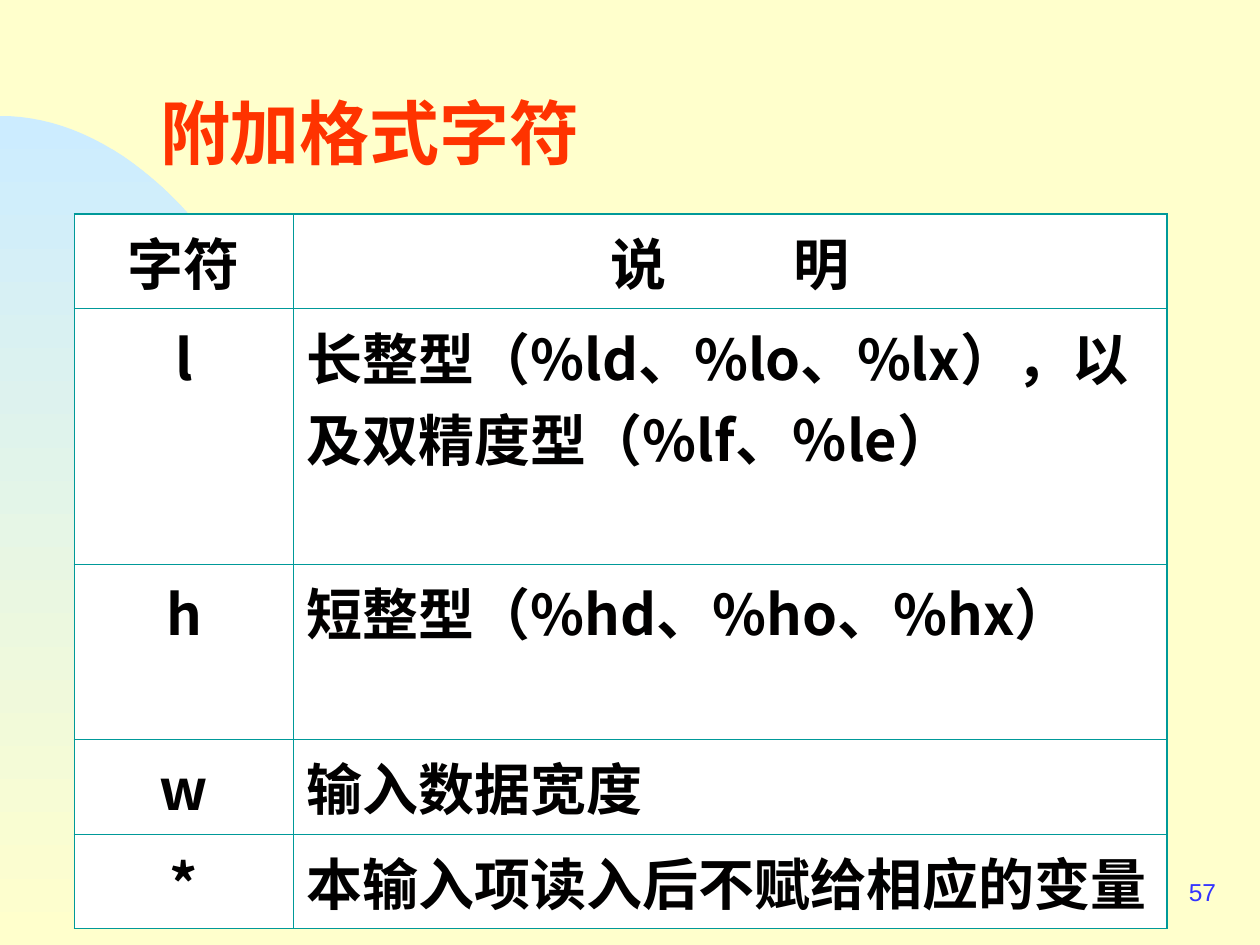
from dataclasses import dataclass
from math import cos, pi, sin

from lxml.etree import SubElement
from pptx import Presentation
from pptx.dml.color import RGBColor
from pptx.enum.text import MSO_ANCHOR, MSO_AUTO_SIZE, PP_ALIGN
from pptx.oxml.ns import qn
from pptx.util import Inches, Pt

CJK_FONT = "Noto Sans CJK SC"
BORDER = "009999"
OUTER_WIDTH, INNER_WIDTH = 1.08, 0.45


@dataclass
class TextStyle:
    size: int
    color: str
    font: str = CJK_FONT
    bold: bool = True
    align: PP_ALIGN = PP_ALIGN.LEFT


@dataclass
class FormatRow:
    character: str
    meaning: str
    height: float = 0.75


ROWS = [
    FormatRow("字符", "说 明"),
    FormatRow("l", "长整型（%ld、%lo、%lx），以及双精度型（%lf、％le）", 2.03),
    FormatRow("h", "短整型（%hd、%ho、%hx）", 1.39),
    FormatRow("w", "输入数据宽度"),
    FormatRow("*", "本输入项读入后不赋给相应的变量"),
]
COLUMN_WIDTHS = [1.74, 6.93]
CENTERED = TextStyle(32, "010000", align=PP_ALIGN.CENTER)
LEFT = TextStyle(32, "010000")


def color(value: str) -> RGBColor:
    return RGBColor.from_string(value)


def style_paragraph(para, style: TextStyle) -> None:
    para.alignment = style.align
    font = para.font
    font.size, font.bold, font.name = Pt(style.size), style.bold, style.font
    font.color.rgb = color(style.color)
    properties = para._p.pPr
    properties.set("hangingPunct", "0")
    east_asian = SubElement(properties.find(qn("a:defRPr")), qn("a:ea"))
    east_asian.set("typeface", style.font)


def write(frame, text: str, style: TextStyle) -> None:
    para = frame.paragraphs[0]
    para.text = text
    style_paragraph(para, style)


def write_spread(frame, text: str, spacing: float, style: TextStyle) -> None:
    para = frame.paragraphs[0]
    first, last = text.split(" ")
    lead = para.add_run()
    lead.text = first + " "
    lead.font._element.set("spc", str(round(spacing * 100)))
    para.add_run().text = last
    style_paragraph(para, style)


def set_border(cell, side: str, width: float) -> None:
    line = SubElement(cell._tc.get_or_add_tcPr(), qn(f"a:ln{side}"), w=str(Pt(width)))
    fill = SubElement(line, qn("a:solidFill"))
    SubElement(fill, qn("a:srgbClr"), val=BORDER)


def draw_arc(slide, top: float, width: float, height: float, steps: int = 60) -> None:
    angles = [pi / 2 * step / steps for step in range(steps + 1)]
    points = [
        (Inches(width * sin(angle)), Inches(top + height * (1 - cos(angle))))
        for angle in angles
    ]
    builder = slide.shapes.build_freeform(*points[0])
    builder.add_line_segments(points[1:] + [(0, Inches(top + height))], close=True)
    arc = builder.convert_to_shape()
    arc.shadow.inherit = False
    arc.line.fill.background()
    arc.fill.gradient()
    arc.fill.gradient_angle = 270
    for stop, value in zip(arc.fill.gradient_stops, ("CCECFF", "FFFFCC")):
        stop.color.rgb = color(value)


def draw_title(slide, text: str) -> None:
    title = slide.shapes.title
    title.left, title.top = Inches(1.17), Inches(0.42)
    title.width, title.height = Inches(8.33), Inches(1.25)
    title.text_frame.auto_size = MSO_AUTO_SIZE.NONE
    title.text_frame.vertical_anchor = MSO_ANCHOR.MIDDLE
    write(title.text_frame, text, TextStyle(40, "FF3300"))


def draw_page_number(slide, text: str) -> None:
    box = slide.shapes.add_textbox(Inches(7.67), Inches(6.83), Inches(2.08), Inches(0.5))
    box.text_frame.word_wrap = True
    box.text_frame.vertical_anchor = MSO_ANCHOR.MIDDLE
    write(box.text_frame, text, TextStyle(14, "3333FF", "Arial", False, PP_ALIGN.RIGHT))


def draw_table(slide, rows: list[FormatRow]) -> None:
    last_row, last_column = len(rows) - 1, len(COLUMN_WIDTHS) - 1
    table = slide.shapes.add_table(
        len(rows), len(COLUMN_WIDTHS), Inches(0.59), Inches(1.7),
        Inches(sum(COLUMN_WIDTHS)), Inches(sum(row.height for row in rows)),
    ).table
    table.first_row = table.horz_banding = False
    for column, width in zip(table.columns, COLUMN_WIDTHS):
        column.width = Inches(width)
    for row_index, row in enumerate(rows):
        table.rows[row_index].height = Inches(row.height)
        for column_index, text in enumerate((row.character, row.meaning)):
            cell = table.cell(row_index, column_index)
            outer_sides = {
                "L": column_index == 0,
                "R": column_index == last_column,
                "T": row_index == 0,
                "B": row_index == last_row,
            }
            for side, is_outer in outer_sides.items():
                set_border(cell, side, OUTER_WIDTH if is_outer else INNER_WIDTH)
            cell.fill.solid()
            cell.fill.fore_color.rgb = color("FFFFFF")
            if row_index == 0 and column_index == last_column:
                write_spread(cell.text_frame, text, 32.5, CENTERED)
            else:
                write(cell.text_frame, text, LEFT if column_index else CENTERED)


def main() -> None:
    deck = Presentation()
    deck.slide_width, deck.slide_height = Inches(10), Inches(7.5)
    slide = deck.slides.add_slide(deck.slide_layouts[5])
    slide.background.fill.solid()
    slide.background.fill.fore_color.rgb = color("FFFFCC")
    draw_arc(slide, 0.92, 3.17, 6.58)
    draw_page_number(slide, "57")
    draw_title(slide, "附加格式字符")
    draw_table(slide, ROWS)
    deck.save("out.pptx")


if __name__ == "__main__":
    main()
